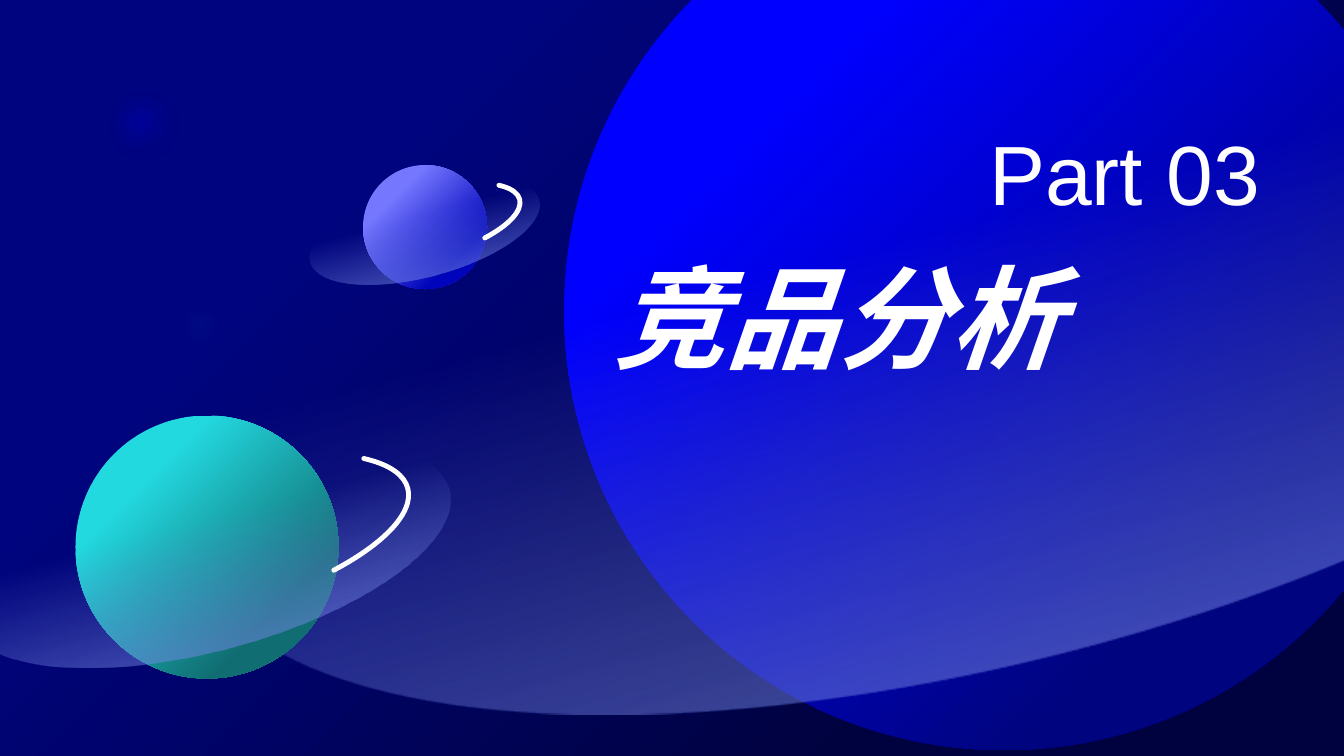
from lxml import etree
from pptx import Presentation
from pptx.dml.color import RGBColor
from pptx.enum.shapes import MSO_SHAPE
from pptx.enum.text import MSO_ANCHOR, PP_ALIGN
from pptx.oxml.ns import qn
from pptx.util import Emu, Pt

OVAL = MSO_SHAPE.OVAL
ARC = MSO_SHAPE.ARC
JUSTIFY = PP_ALIGN.JUSTIFY
RIGHT = PP_ALIGN.RIGHT
TOP = MSO_ANCHOR.TOP

EMU_PER_PX = 914400 / 100.8
TILT = 345.1
RING_COLOUR = "7687E8"
WHITE = "FFFFFF"


def px(value):
    return Emu(round(value * EMU_PER_PX))


def colour(hex_string):
    return RGBColor.from_string(hex_string)


def set_gradient(fill, stops, angle):
    """Fill with two (percent, colour) stops; the angle runs clockwise."""
    fill.gradient()
    fill.gradient_angle = (360 - angle) % 360
    for stop, (position, hex_string) in zip(fill.gradient_stops, stops):
        stop.position = position / 100
        stop.color.rgb = colour(hex_string)


def set_opacities(shape, opacities):
    """Give each gradient stop of the shape its opacity in percent."""
    stop_colours = shape._element.spPr.findall(".//" + qn("a:gs") + "/" + qn("a:srgbClr"))
    for stop_colour, opacity in zip(stop_colours, opacities):
        etree.SubElement(stop_colour, qn("a:alpha")).set("val", str(opacity * 1000))


def add_centred(slide, kind, centre_x, centre_y, width, height):
    shape = slide.shapes.add_shape(
        kind, px(centre_x - width / 2), px(centre_y - height / 2), px(width), px(height))
    shape.shadow.inherit = False
    shape.line.fill.background()
    return shape


def add_globe(slide, centre_x, centre_y, size, stops):
    globe = add_centred(slide, OVAL, centre_x, centre_y, size, size)
    set_gradient(globe.fill, stops, 45)
    return globe


def add_glow(slide, centre_x, centre_y, size, stops, opacity):
    """Add a globe whose rim fades into the background."""
    glow = add_globe(slide, centre_x, centre_y, size, stops)
    set_opacities(glow, (opacity, opacity))
    effects = glow._element.spPr.find(qn("a:effectLst"))
    etree.SubElement(effects, qn("a:softEdge")).set("rad", str(px(size * 0.26)))


def add_ring(slide, centre_x, centre_y, size):
    ring = add_centred(slide, OVAL, centre_x, centre_y + size * 0.03, size * 1.91, size * 0.73)
    ring.rotation = TILT
    set_gradient(ring.fill, [(42, RING_COLOUR), (100, RING_COLOUR)], 90)
    set_opacities(ring, (0, 100))


def add_ring_highlight(slide, centre_x, centre_y, size):
    arc = add_centred(slide, ARC, centre_x, centre_y - size * 0.02, size * 1.58, size * 0.55)
    arc.rotation = TILT
    arc.adjustments[0] = 208.17
    arc.adjustments[1] = 16.55
    arc.fill.background()
    arc.line.color.rgb = colour(WHITE)
    arc.line.width = Pt(3.5)
    arc._element.spPr.find(qn("a:ln")).set("cap", "rnd")


def add_planet(slide, centre_x, centre_y, size, stops, highlight=True):
    add_globe(slide, centre_x, centre_y, size, stops)
    add_ring(slide, centre_x, centre_y, size)
    if highlight:
        add_ring_highlight(slide, centre_x, centre_y, size)


def add_text(slide, box, text, size, alignment, wrap=True, emphasis=False):
    shape = slide.shapes.add_textbox(*map(px, box))
    frame = shape.text_frame
    frame.word_wrap = wrap
    frame.vertical_anchor = TOP
    paragraph = frame.paragraphs[0]
    paragraph.alignment = alignment
    run = paragraph.add_run()
    run.text = text
    run.font.name = "Arial"
    run.font.size = Pt(size)
    run.font.bold = emphasis
    run.font.italic = emphasis
    run.font.color.rgb = colour(WHITE)


def main():
    presentation = Presentation()
    presentation.slide_width = px(1344)
    presentation.slide_height = px(756)
    slide = presentation.slides.add_slide(presentation.slide_layouts[6])
    set_gradient(slide.background.fill, [(25, "00047F"), (76, "000240")], 45)

    add_planet(slide, 1004, 310, 880, [(25, "0000FF"), (76, "00047F")], highlight=False)
    add_text(slide, (604, 244, 665, 146), "竞品分析", 80, JUSTIFY, emphasis=True)
    add_text(slide, (979, 117, 291, 112), "Part 03", 60, RIGHT, wrap=False)

    add_planet(slide, 425, 227, 124, [(25, "7578FF"), (76, "0004BA")])
    add_glow(slide, 144, 125, 97, [(25, "0000FF"), (76, "000080")], 60)
    add_glow(slide, 203, 329, 82, [(25, "23D9E0"), (76, "000080")], 10)
    add_planet(slide, 207, 547, 263, [(25, "23D9E0"), (76, "106E72")])

    presentation.save("out.pptx")


if __name__ == "__main__":
    main()
